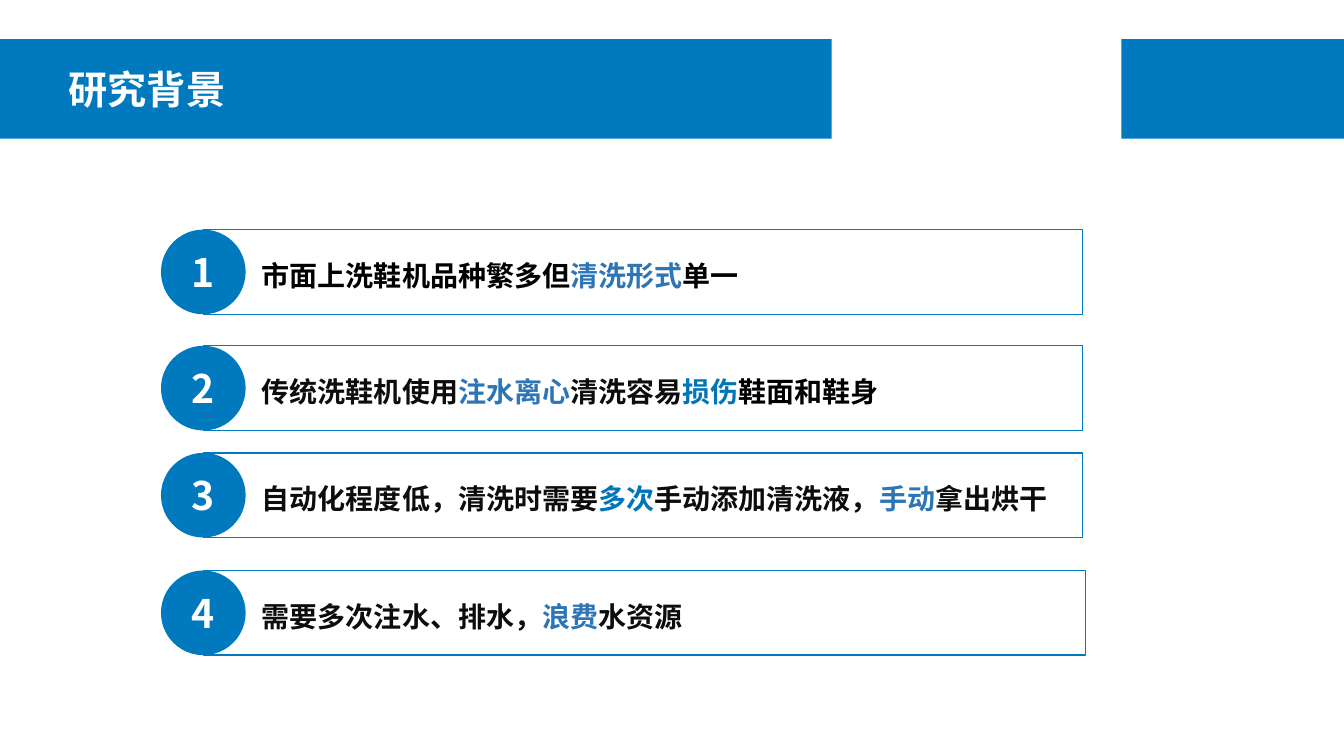
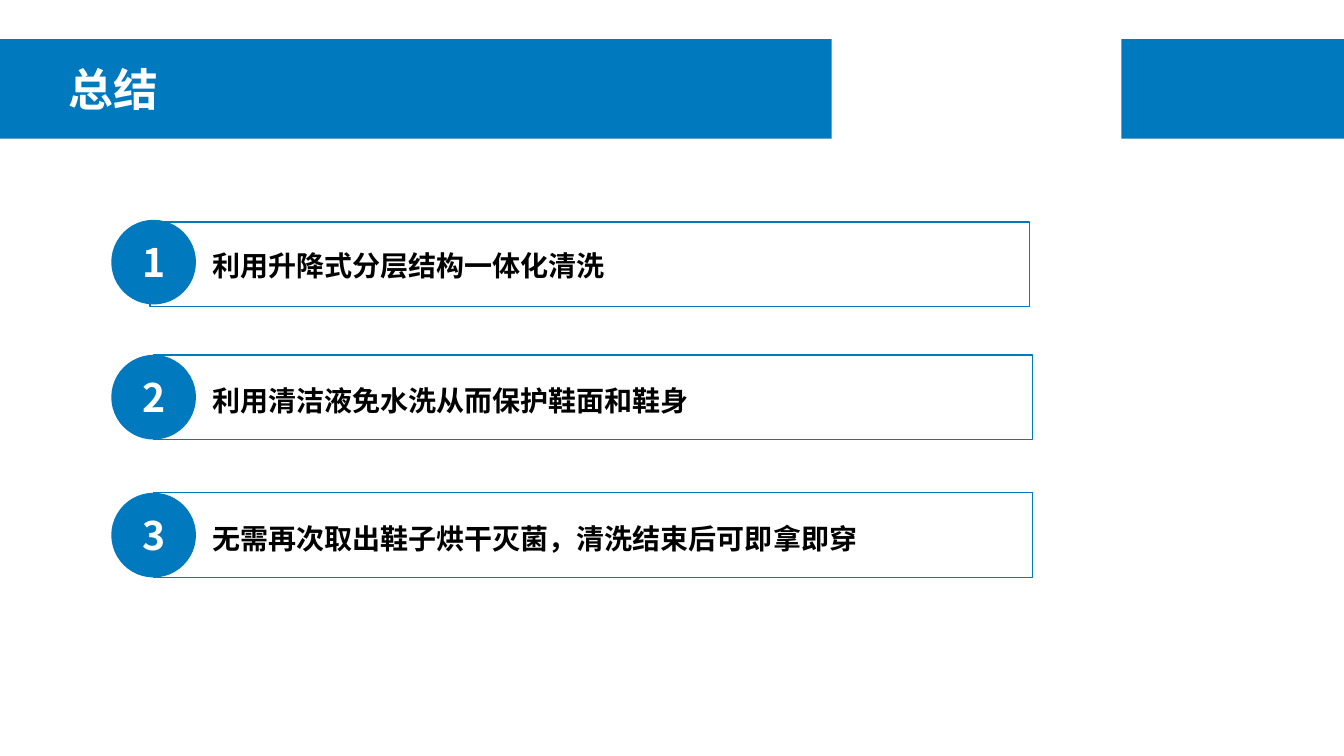
from dataclasses import dataclass

from lxml import etree
from pptx import Presentation
from pptx.dml.color import RGBColor
from pptx.enum import shapes, text
from pptx.oxml.ns import qn
from pptx.util import Pt


@dataclass(frozen=True)
class Theme:
    font: str = "Noto Sans CJK SC"
    band: str = "0079BF"
    white: str = "FFFFFF"
    black: str = "000000"
    ink: str = "0D0D0D"
    steel: str = "2E75B6"
    azure: str = "0076B8"
    badge: int = 28
    body: int = 20


T = Theme()
RECT, OVAL = shapes.MSO_SHAPE.RECTANGLE, shapes.MSO_SHAPE.OVAL
WIDE, HIGH = 960, 540
BANDS = [(0, 594), (801, WIDE - 801)]  # left, width
BAND_TOP, BAND_TALL = 28, 71
SIZE = 60.5  # badge diameter and card height
CARD_W = 628
LABEL_DX, LABEL_DY, LABEL_W, LABEL_H = 72, 14.6, 588, 27.4

# Each card: top, runs of (wording, colour), then frame changes (dx, dy, dw)
SLIDES = [
    dict(title="研究背景", size=28, left=115, cards=[
        (164, [("市面上洗鞋机品种繁多但", T.black), ("清洗形式", T.steel),
               ("单一", T.black)], (0, 0, 0)),
        (247, [("传统洗鞋机使用", T.ink), ("注水离心", T.steel),
               ("清洗容易", T.ink), ("损伤", T.azure),
               ("鞋面和鞋身", T.black)], (0, 0, 0)),
        (323.5, [("自动化程度低，清洗时需要", T.ink), ("多次", T.azure),
                 ("手动添加清洗液，", T.ink), ("手动", T.steel),
                 ("拿出烘干", T.ink)], (0, 0, 0)),
        (407.5, [("需要多次注水、排水，", T.ink), ("浪费", T.steel),
                 ("水资源", T.ink)], (0, 0, 2)),
    ]),
    dict(title="总结", size=32, left=79.5, cards=[
        (157, [("利用升降式分层结构一体化清洗", T.black)], (-2.5, 1.5, 0)),
        (253.5, [("利用清洁液免水洗从而保护鞋面和鞋身", T.black)], (0, 0, 0)),
        (352, [("无需再次取出鞋子烘干灭菌，清洗结束后可即拿即穿", T.black)],
         (0, 0, 0)),
    ]),
]


def rgb(code):
    return RGBColor.from_string(code)


def put(obj, **vals):
    for key, val in vals.items():
        setattr(obj, key, val)


def shape(host, kind, box, fill, line=None):
    item = host.add_shape(kind, *map(Pt, box))
    item.shadow.inherit = False
    item.fill.solid()
    item.fill.fore_color.rgb = rgb(fill)
    if line:
        item.line.color.rgb = rgb(line)
        item.line.width = Pt(1)
    else:
        item.line.fill.background()
    return item


def write(item, runs, size, frame=(), para=()):
    """Fill one bold paragraph with (wording, colour) runs."""
    put(item.text_frame, **dict(frame))
    par = item.text_frame.paragraphs[0]
    put(par, **dict(para))
    for words, tint in runs:
        run = par.add_run()
        run.text = words
        put(run.font, name=T.font, size=Pt(size), bold=True)
        run.font.color.rgb = rgb(tint)
        face = etree.SubElement(run.font._element, qn("a:ea"))
        face.set("typeface", T.font)


def header(slide, title, size):
    for left, width in BANDS:
        shape(slide.shapes, RECT, (left, BAND_TOP, width, BAND_TALL), T.band)
    box = slide.shapes.add_textbox(Pt(42), Pt(44), Pt(523), Pt(43))
    write(box, [(title, T.white)], size,
          dict(word_wrap=True, vertical_anchor=text.MSO_ANCHOR.MIDDLE),
          dict(line_spacing=0.9))


def card(slide, num, left, top, runs, shift):
    dx, dy, dw = shift
    host = slide.shapes.add_group_shape().shapes
    shape(host, RECT, (left + SIZE / 2 + dx, top + dy, CARD_W + dw, SIZE),
          T.white, T.band)
    badge = shape(host, OVAL, (left, top, SIZE, SIZE), T.band)
    write(badge, [(str(num), T.white)], T.badge,
          dict(vertical_anchor=text.MSO_ANCHOR.MIDDLE),
          dict(alignment=text.PP_ALIGN.CENTER))
    label = host.add_textbox(Pt(left + LABEL_DX), Pt(top + LABEL_DY),
                             Pt(LABEL_W), Pt(LABEL_H))
    sides = ("left", "top", "right", "bottom")
    write(label, runs, T.body,
          dict({f"margin_{side}": 0 for side in sides}, word_wrap=True,
               auto_size=text.MSO_AUTO_SIZE.SHAPE_TO_FIT_TEXT),
          dict(line_spacing=1.25))


def main():
    deck = Presentation()
    put(deck, slide_width=Pt(WIDE), slide_height=Pt(HIGH))
    for page in SLIDES:
        slide = deck.slides.add_slide(deck.slide_layouts[6])
        header(slide, page["title"], page["size"])
        for num, (top, runs, shift) in enumerate(page["cards"], 1):
            card(slide, num, page["left"], top, runs, shift)
    deck.save("out.pptx")


if __name__ == "__main__":
    main()
